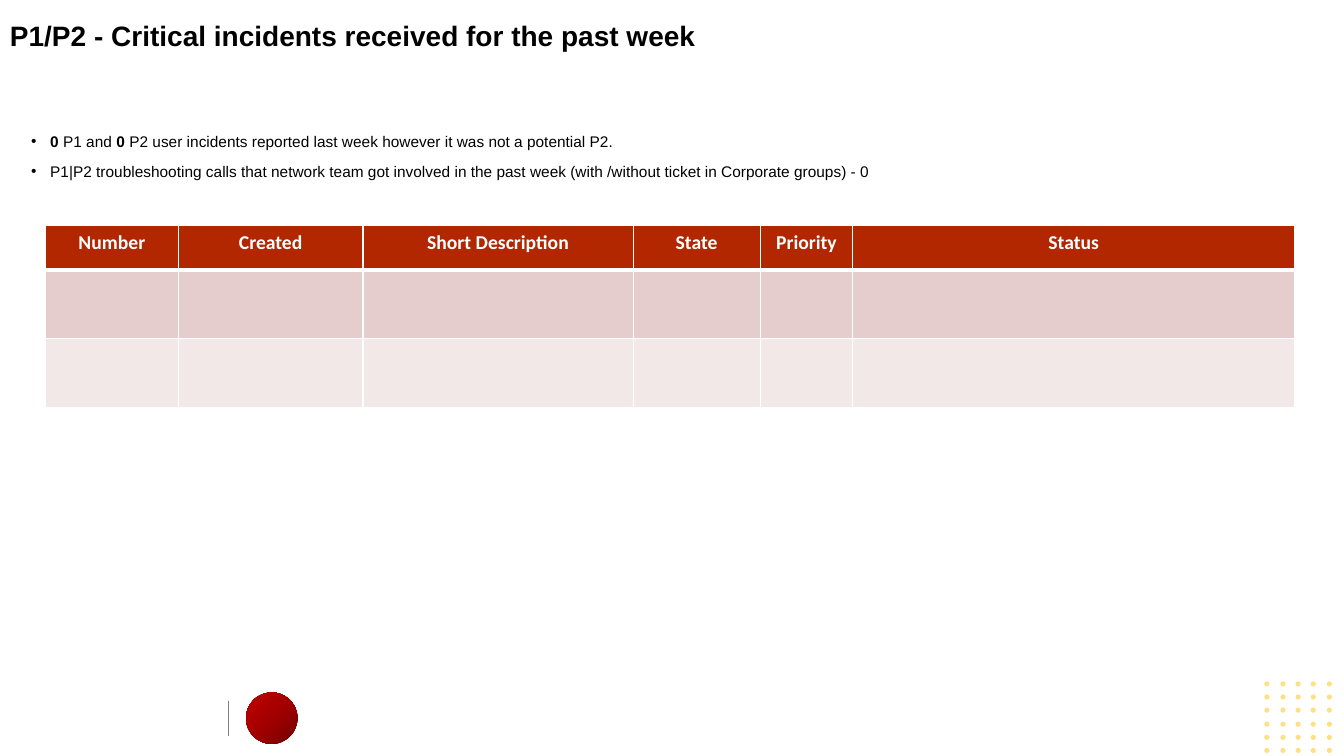
from copy import deepcopy

from lxml import etree
from pptx import Presentation
from pptx.dml.color import RGBColor
from pptx.enum.shapes import MSO_CONNECTOR, MSO_SHAPE
from pptx.enum.text import MSO_ANCHOR, PP_ALIGN
from pptx.oxml.ns import qn
from pptx.util import Pt

EMU_PER_PX = 9144
LINE, OVAL = MSO_CONNECTOR.STRAIGHT, MSO_SHAPE.OVAL
MIDDLE, CENTER = MSO_ANCHOR.MIDDLE, PP_ALIGN.CENTER

BULLETS = [
    [("0 ", True), ("P1 and ", False), ("0 ", True),
     ("P2 user incidents reported last week however it was not a potential P2.", False)],
    [("P1|P2 troubleshooting calls that network team got involved in the past week "
      "(with /without ticket in Corporate groups) - 0", False)],
]
COLUMNS = [("Number", 132), ("Created", 183), ("Short Description", 268),
           ("State", 126), ("Priority", 92), ("Status", 438)]
ROWS = [("B22600", 44), ("E4CDCC", 68), ("F2E8E7", 68)]


def px(length):
    """Turn px into EMU."""
    return length * EMU_PER_PX


def color(value):
    """Turn a hex string into a colour."""
    return RGBColor.from_string(value)


def set_font(paragraph, name, size, value, bold=None):
    """Set the font of a whole paragraph."""
    font = paragraph.font
    font.name, font.size, font.bold = name, Pt(size), bold
    font.color.rgb = color(value)


def add_text_frame(slide, left, top, width, height):
    """Add a wrapping text box and return its frame."""
    frame = slide.shapes.add_textbox(px(left), px(top), px(width), px(height)).text_frame
    frame.word_wrap = True
    return frame


def add_circle(slide, left, top, size):
    """Add a circle without outline or shadow."""
    shape = slide.shapes.add_shape(OVAL, px(left), px(top), px(size), px(size))
    shape.shadow.inherit = False
    shape.line.fill.background()
    return shape


def add_dot_grid(slide, left, top, width, height, columns=5, rows=6, dot=5):
    """Add evenly spaced half-transparent dots in the given box."""
    for row in range(rows):
        for column in range(columns):
            shape = add_circle(slide, left + round(column * (width - dot) / (columns - 1)),
                               top + round(row * (height - dot) / (rows - 1)), dot)
            shape.fill.solid()
            shape.fill.fore_color.rgb = color("FFC000")
            tint = shape._element.spPr.find(".//" + qn("a:srgbClr"))
            etree.SubElement(tint, qn("a:alpha"), val="50000")


def add_footer_mark(slide, left, top, width, height):
    """Add the thin divider and the shaded disc at the right of the box."""
    divider = slide.shapes.add_connector(
        LINE, px(left), px(top + 8), px(left), px(top + height - 8))
    divider.line.color.rgb = color("808080")
    divider.line.width = Pt(0.5)
    etree.SubElement(divider._element.spPr, qn("a:effectLst"))

    disc = add_circle(slide, left + width - height, top, height)
    disc.fill.gradient()
    disc.fill.gradient_angle = 135
    stops = disc._element.spPr.find(".//" + qn("a:gsLst"))
    stops.insert(1, deepcopy(stops[0]))
    shades = [(0, "720000"), (0.5, "A20000"), (1, "C00000")]
    for stop, (position, shade) in zip(disc.fill.gradient_stops, shades):
        stop.position = position
        stop.color.rgb = color(shade)


def add_title(slide, left, top, width, height):
    """Add the slide title."""
    frame = add_text_frame(slide, left, top, width, height)
    frame.vertical_anchor = MIDDLE
    paragraph = frame.paragraphs[0]
    paragraph.text = "P1/P2 - Critical incidents received for the past week"
    paragraph.line_spacing = 0.9
    set_font(paragraph, "Arial", 20, "000000", True)


def add_summary(slide, left, top, width, height):
    """Add the bulleted summary."""
    frame = add_text_frame(slide, left, top, width, height)
    for index, runs in enumerate(BULLETS):
        paragraph = frame.add_paragraph() if index else frame.paragraphs[0]
        if index:
            paragraph.space_before = Pt(4)
        paragraph.space_after = Pt(4)
        properties = paragraph._p.get_or_add_pPr()
        properties.set("marL", str(px(19)))
        properties.set("indent", str(-px(19)))
        etree.SubElement(properties, qn("a:buFont"), typeface="Arial")
        etree.SubElement(properties, qn("a:buChar"), char="•")
        set_font(paragraph, "Arial", 11, "000000")
        for text, bold in runs:
            run = paragraph.add_run()
            run.text, run.font.bold = text, bold


def add_cell_borders(cell, bottom):
    """Draw white cell borders, with the given bottom width in points."""
    properties = cell._tc.get_or_add_tcPr()
    widths = [("a:lnL", 1), ("a:lnR", 1), ("a:lnT", 1), ("a:lnB", bottom)]
    for index, (tag, width) in enumerate(widths):
        border = etree.Element(qn(tag), w=str(Pt(width)))
        fill = etree.SubElement(border, qn("a:solidFill"))
        etree.SubElement(fill, qn("a:srgbClr"), val="FFFFFF")
        properties.insert(index, border)


def add_incident_table(slide, left, top, width, height):
    """Add the incident table with its header and empty rows."""
    table = slide.shapes.add_table(len(ROWS), len(COLUMNS), px(left), px(top),
                                   px(width), px(height)).table
    for row_index, (fill, row_height) in enumerate(ROWS):
        table.rows[row_index].height = px(row_height)
        for column_index, (heading, column_width) in enumerate(COLUMNS):
            table.columns[column_index].width = px(column_width)
            cell = table.cell(row_index, column_index)
            cell.fill.solid()
            cell.fill.fore_color.rgb = color(fill)
            add_cell_borders(cell, 1 if row_index else 3)
            if row_index == 0:
                paragraph = cell.text_frame.paragraphs[0]
                paragraph.text = heading
                paragraph.alignment = CENTER
                set_font(paragraph, "Calibri", 14, "FFFFFF", True)


def main():
    """Build and save the slide."""
    presentation = Presentation()
    presentation.slide_width, presentation.slide_height = px(1333), px(750)
    slide = presentation.slides.add_slide(presentation.slide_layouts[6])
    add_dot_grid(slide, 1254, 676, 67, 71)
    add_footer_mark(slide, 227, 687, 68, 51)
    add_title(slide, 0, 0, 1193, 74)
    add_summary(slide, 21, 126, 1254, 58)
    add_incident_table(slide, 45, 224, 1239, 180)
    presentation.save("out.pptx")


if __name__ == "__main__":
    main()
